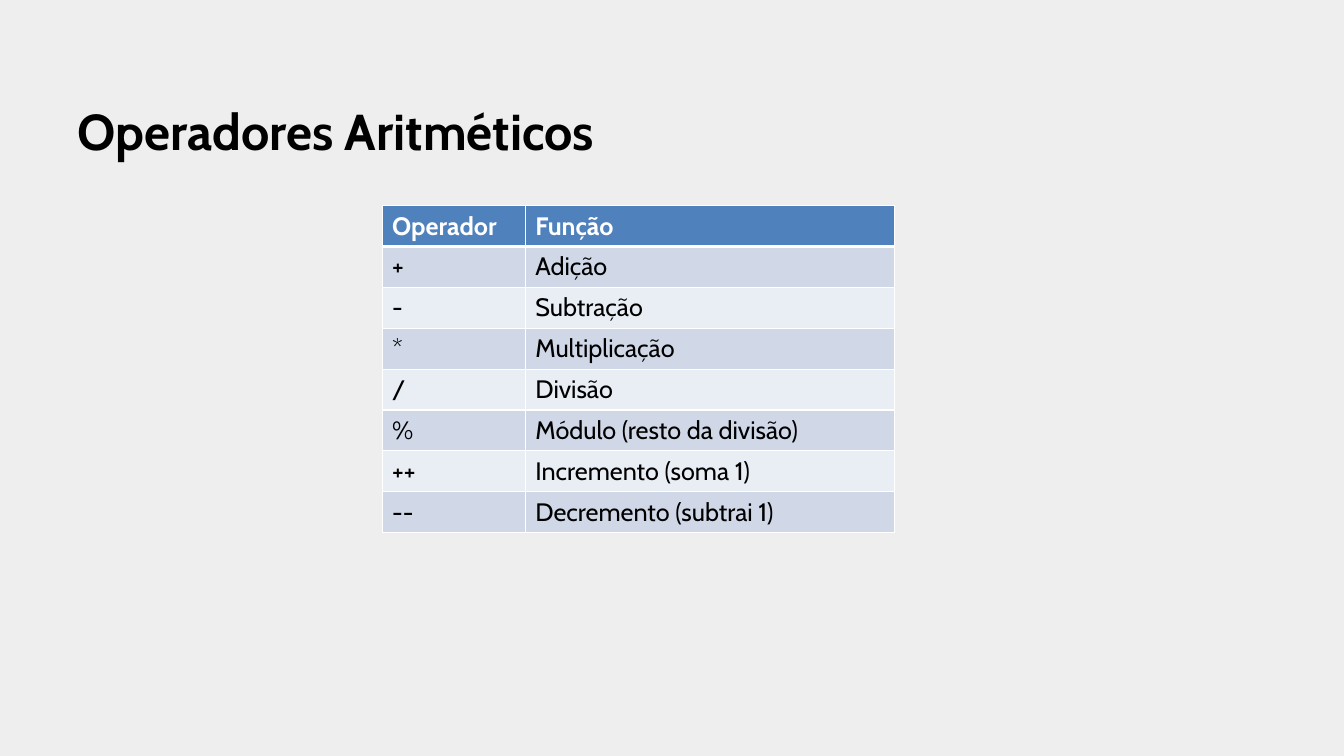
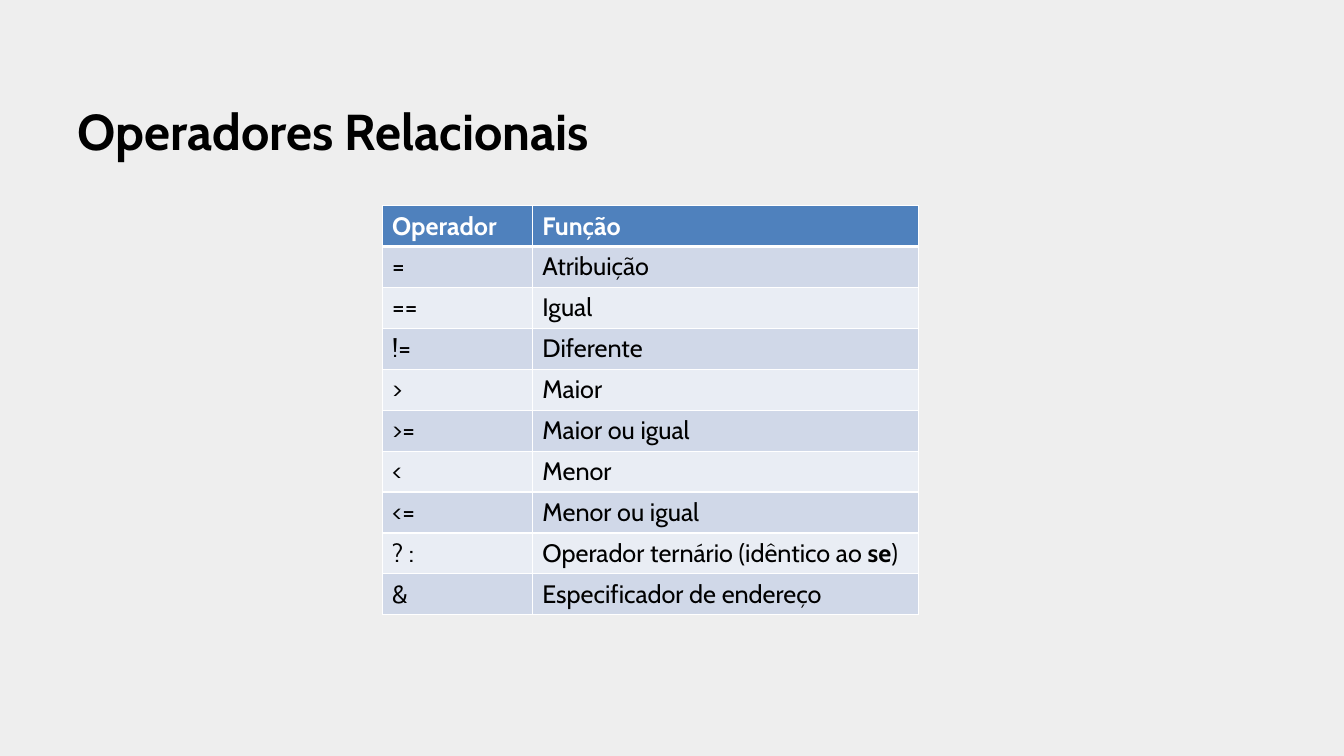
from lxml.etree import SubElement as Sub
from pptx import Presentation
from pptx.dml.color import RGBColor as RGB
from pptx.enum.text import MSO_ANCHOR as Anchor, MSO_AUTO_SIZE as Fit, PP_ALIGN as Align
from pptx.oxml.ns import qn
from pptx.util import Inches, Pt

HEAD = ("Operador", "Função")
MATH = [
    ("+", "Adição"),
    ("-", "Subtração"),
    ("*", "Multiplicação"),
    ("/", "Divisão"),
    ("%", "Módulo (resto da divisão)"),
    ("++", "Incremento (soma 1)"),
    ("--", "Decremento (subtrai 1)"),
]
TESTS = [
    ("=", "Atribuição"),
    ("==", "Igual"),
    ("!=", "Diferente"),
    (">", "Maior"),
    (">=", "Maior ou igual"),
    ("<", "Menor"),
    ("<=", "Menor ou igual"),
    ("? :", ("Operador ternário (idêntico ao ", "se", ")")),
    ("&", "Especificador de endereço"),
]


class Deck:
    font = "Cabin"
    hues = {
        "back": "EEEEEE",
        "text": "000000",
        "line": "FFFFFF",
        "head": "4F81BD",
        "odd": "D0D8E8",
        "even": "E9EDF4",
    }

    def __init__(self):
        self.prs = Presentation()
        self.prs.slide_width = Inches(13.33)
        self.prs.slide_height = Inches(7.5)
        self.paint(self.prs.slide_master.background.fill, "back")
        self.slide = None

    def paint(self, fill, hue):
        fill.solid()
        fill.fore_color.rgb = RGB.from_string(self.hues[hue])

    def style(self, run, size, hue, bold):
        run.font.name = self.font
        run.font.size = Pt(size)
        run.font.bold = bold
        run.font.color.rgb = RGB.from_string(self.hues[hue])

    def title(self, text):
        self.slide = self.prs.slides.add_slide(self.prs.slide_layouts[5])
        box = self.slide.shapes.title
        box.left, box.top = Inches(0.67), Inches(0.39)
        box.width, box.height = Inches(12), Inches(1.25)
        frame = box.text_frame
        frame.text = text
        frame.auto_size = Fit.NONE
        frame.vertical_anchor = Anchor.BOTTOM
        para = frame.paragraphs[0]
        para.alignment = Align.LEFT
        self.style(para.runs[0], 36, "text", True)

    def edge(self, cell, side, width):
        props = cell._tc.get_or_add_tcPr()
        line = Sub(props, qn(f"a:ln{side}"), w=str(Pt(width)))
        fill = Sub(line, qn("a:solidFill"))
        Sub(fill, qn("a:srgbClr"), val=self.hues["line"])

    def cell(self, cell, text, row):
        tops = 3 if row == 1 else 1
        base = 3 if row == 0 else 1
        for side, width in (("L", 1), ("R", 1), ("T", tops), ("B", base)):
            self.edge(cell, side, width)
        band = "head" if row == 0 else "odd" if row % 2 else "even"
        self.paint(cell.fill, band)
        parts = (text,) if isinstance(text, str) else text
        para = cell.text_frame.paragraphs[0]
        for i, part in enumerate(parts):
            run = para.add_run()
            run.text = part
            hue = "text" if row else "line"
            self.style(run, 18, hue, row == 0 or i == 1)

    def table(self, rows, wide, high):
        rows = [HEAD, *rows]
        frame = self.slide.shapes.add_table(
            len(rows), len(wide), Inches(3.79), Inches(2.04),
            Inches(sum(wide)), Inches(high))
        grid = frame.table
        for col, width in zip(grid.columns, wide):
            col.width = Inches(width)
        for r, row in enumerate(rows):
            for c, text in enumerate(row):
                self.cell(grid.cell(r, c), text, r)


def main():
    deck = Deck()
    deck.title("Operadores Aritméticos")
    deck.table(MATH, (1.42, 3.66), 3.24)
    deck.title("Operadores Relacionais")
    deck.table(TESTS, (1.49, 3.83), 4.06)
    deck.prs.save("out.pptx")


if __name__ == "__main__":
    main()
